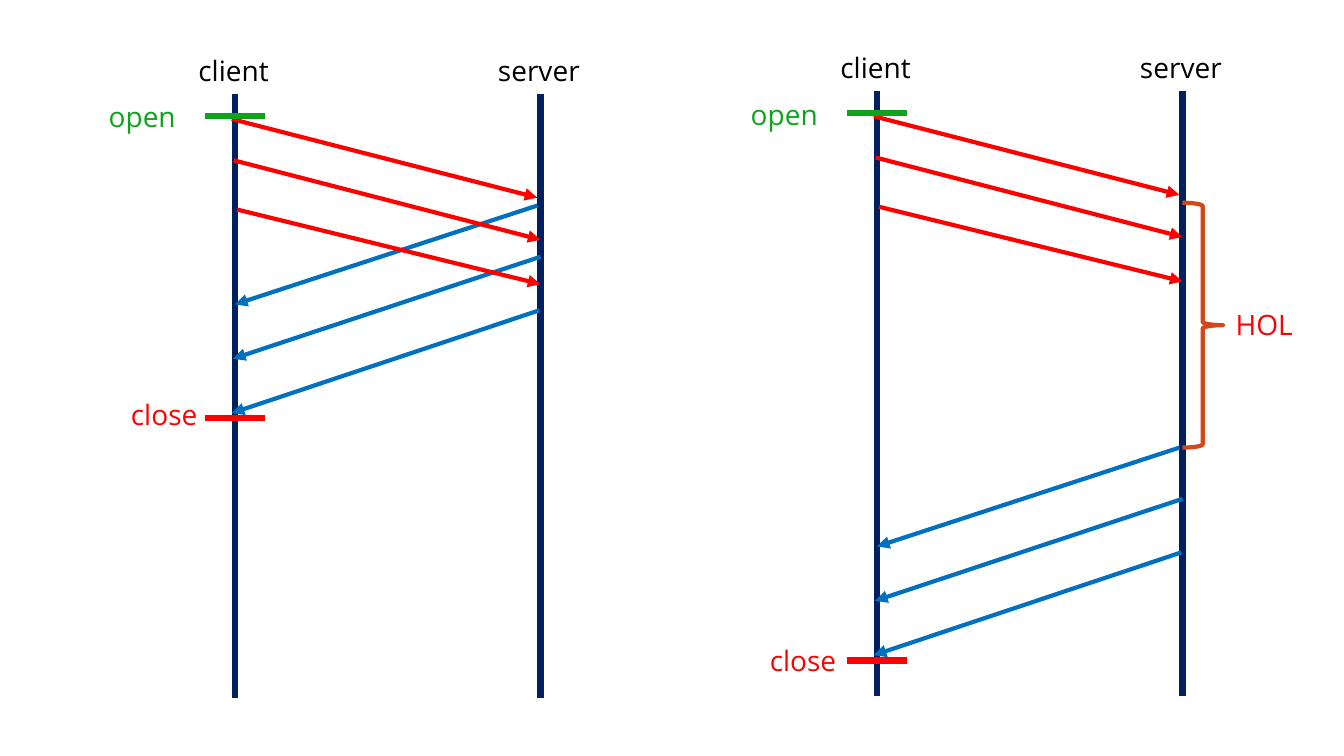
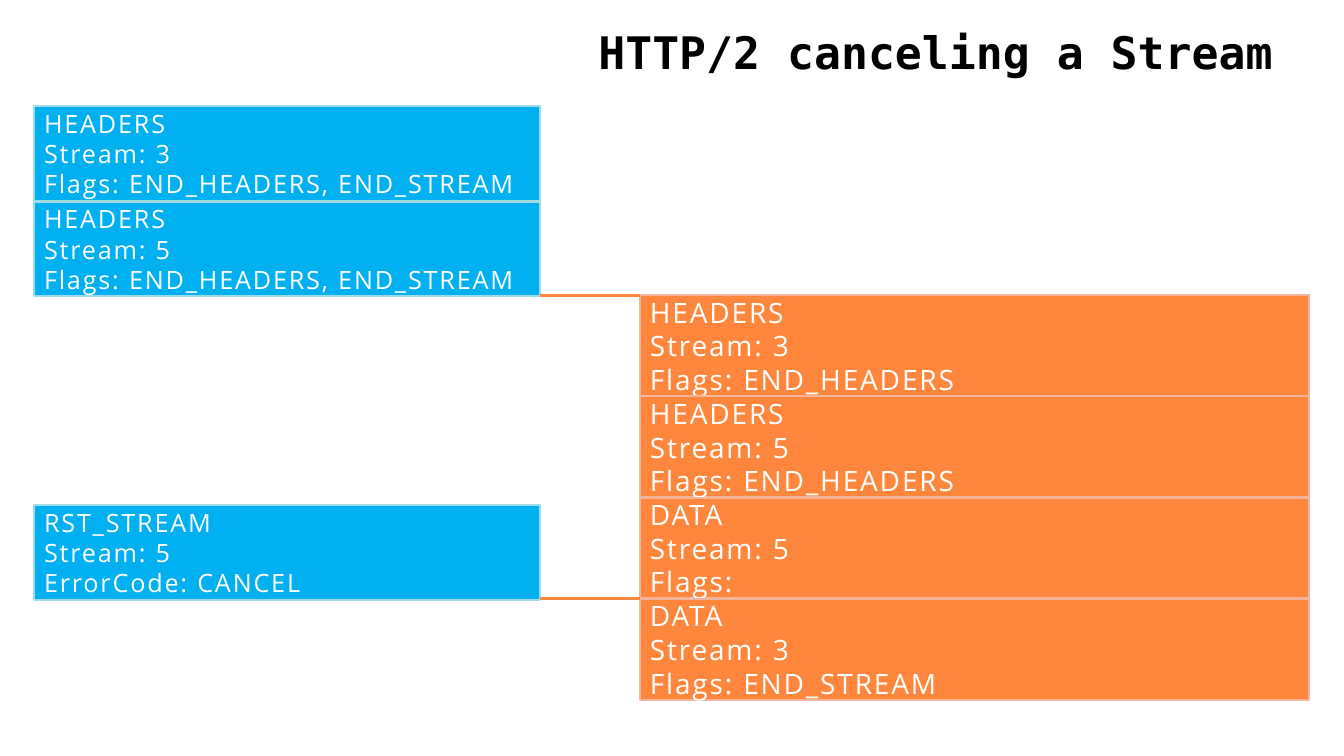
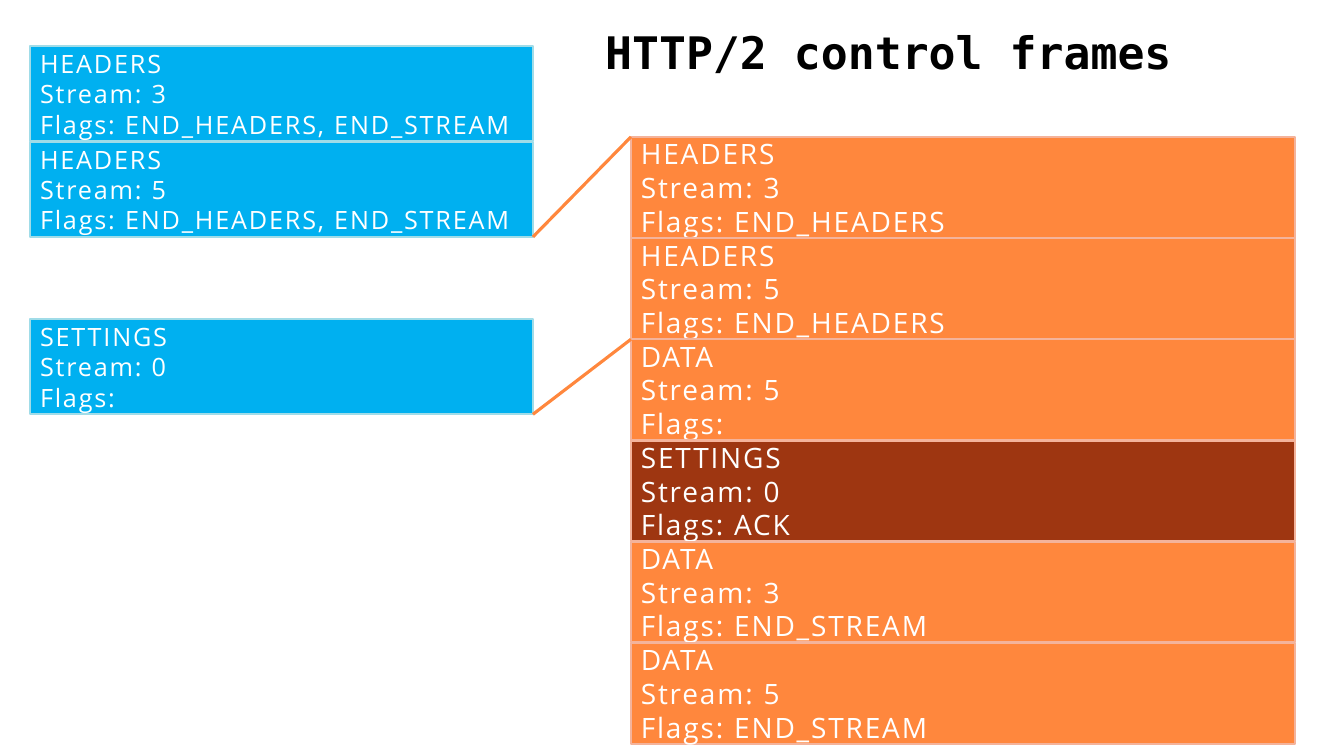
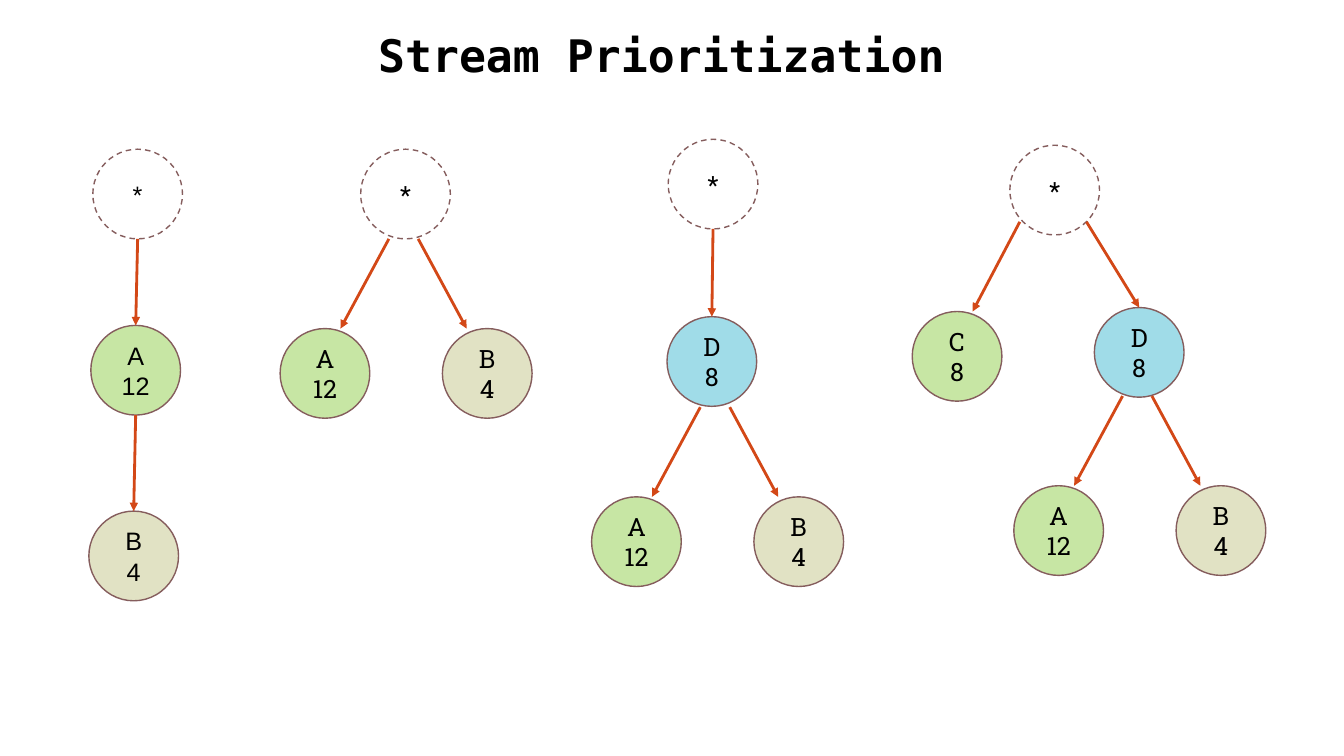
"""Build four slides on HTTP/2 streams: blocking, cancelling, control frames and priorities."""
import dataclasses

import pptx
import pptx.dml.color
import pptx.enum.dml
import pptx.enum.shapes
import pptx.enum.text
import pptx.oxml
import pptx.oxml.ns
import pptx.util

Cm = pptx.util.Cm
Pt = pptx.util.Pt
SHAPE = pptx.enum.shapes.MSO_SHAPE
ALIGN = pptx.enum.text.PP_ALIGN


@dataclasses.dataclass(frozen=True)
class Theme:
    black: str = "000000"
    white: str = "FFFFFF"
    red: str = "FF0000"
    green: str = "0DA31B"
    navy: str = "002060"
    blue: str = "0070C0"
    rust: str = "D34817"
    request: str = "00B0F0"
    request_edge: str = "A0DCE8"
    reply: str = "FF873D"
    reply_edge: str = "F4B39B"
    accent: str = "9E3611"
    node_edge: str = "855D5D"
    node_green: str = "C7E6A4"
    node_sand: str = "E1E2C4"
    node_blue: str = "A0DCE8"
    title_font: str = "DejaVu Sans Mono"
    body_font: str = "Open Sans"
    node_font: str = "Roboto Slab"
    plain_font: str = "Arial"
    title_size: int = 32
    label_size: int = 20
    small_size: int = 18
    tracking: int = 130


class Slides:
    request_height = 2.39
    request_pitch = 2.41
    reply_height = 2.54
    reply_pitch = 2.55
    node_size = 2.26

    def __init__(self, theme):
        self.theme = theme
        self.deck = pptx.Presentation()
        self.deck.slide_width = Cm(33.87)
        self.deck.slide_height = Cm(19.05)
        self.page = None

    def new_page(self):
        self.page = self.deck.slides.add_slide(self.deck.slide_layouts[6])

    def color(self, value):
        return pptx.dml.color.RGBColor.from_string(value)

    def set_text(self, shape, text, font, size, color, align=ALIGN.LEFT, bold=False, tracking=None):
        shape.text_frame.text = text
        for para in shape.text_frame.paragraphs:
            para.alignment = align
            for span in para.runs:
                span.font.name = font
                span.font.size = Pt(size)
                span.font.bold = bold
                span.font.color.rgb = self.color(color)
                if tracking:
                    span.font._element.set("spc", str(tracking))

    def text_box(self, left, top, width, height, wrap):
        box = self.page.shapes.add_textbox(Cm(left), Cm(top), Cm(width), Cm(height))
        box.text_frame.word_wrap = wrap
        box.text_frame.auto_size = pptx.enum.text.MSO_AUTO_SIZE.SHAPE_TO_FIT_TEXT
        return box

    def title(self, text, left, top=0.51):
        box = self.text_box(left, top, 19.23, 1.63, True)
        self.set_text(box, text, self.theme.title_font, self.theme.title_size,
                      self.theme.black, ALIGN.CENTER, bold=True)

    def label(self, text, left, top, width, color):
        box = self.text_box(left, top, width, 1.12, False)
        self.set_text(box, text, self.theme.body_font, self.theme.label_size, color)

    def line(self, start, end, color, weight, arrow=False):
        line = self.page.shapes.add_connector(
            pptx.enum.shapes.MSO_CONNECTOR.STRAIGHT, *map(Cm, (*start, *end)))
        line.line.color.rgb = self.color(color)
        line.line.width = Pt(weight)
        properties = line._element.spPr
        if arrow:
            head = pptx.oxml.parse_xml(
                f'<a:tailEnd {pptx.oxml.ns.nsdecls("a")} type="triangle"/>')
            properties.get_or_add_ln().append(head)
        properties.append(pptx.oxml.parse_xml(f'<a:effectLst {pptx.oxml.ns.nsdecls("a")}/>'))
        return line

    def shape(self, kind, left, top, width, height, fill, edge, weight):
        shape = self.page.shapes.add_shape(kind, Cm(left), Cm(top), Cm(width), Cm(height))
        shape.shadow.inherit = False
        if fill:
            shape.fill.solid()
            shape.fill.fore_color.rgb = self.color(fill)
        else:
            shape.fill.background()
        shape.line.color.rgb = self.color(edge)
        shape.line.width = Pt(weight)
        shape.text_frame.vertical_anchor = pptx.enum.text.MSO_ANCHOR.MIDDLE
        return shape

    def exchange(self, client, top, delay, close_label):
        theme = self.theme
        server = client + 7.7
        for x in (client, server):
            self.line((x, top), (x, top + 15.24), theme.navy, 4.5)
        requests = ((-0.08, 0.64, 7.62, 2.62), (-0.03, 1.68, 7.7, 3.68), (0.05, 2.92, 7.7, 4.8))
        responses = ((7.62, 2.82, 0, 5.31), (7.7, 4.11, -0.05, 6.68), (7.67, 5.46, -0.08, 8.05))
        for messages, color, wait in ((responses, theme.blue, delay), (requests, theme.red, 0)):
            for x1, y1, x2, y2 in messages:
                self.line((client + x1, top + y1 + wait), (client + x2, top + y2 + wait),
                          color, 3, arrow=True)
        for y, color in ((top + 0.56, theme.green), (top + 8.18 + delay, theme.red)):
            self.line((client - 0.76, y), (client + 0.76, y), color, 4.5)
        self.label("client", client - 1.17, top - 1.14, 2.41, theme.black)
        self.label("server", client + 6.38, top - 1.14, 2.67, theme.black)
        self.label("open", client - 3.43, top + 0.03, 2.26, theme.green)
        self.label("close", *close_label, 2.26, theme.red)
        if delay:
            brace_top = top + 2.82
            self.shape(SHAPE.RIGHT_BRACE, server, brace_top, 1.02, delay, None, theme.rust, 3)
            self.label("HOL", server + 1.09, brace_top + delay / 2 - 0.56, 2.01, theme.red)

    def frame(self, text, left, top, width, height, fill, edge, size):
        frame = self.shape(SHAPE.RECTANGLE, left, top, width, height, fill, edge, 1.5)
        self.set_text(frame, text, self.theme.body_font, size, self.theme.white,
                      tracking=self.theme.tracking)

    def requests(self, left, top, width, frames):
        for index, text in enumerate(frames):
            self.frame(text, left, top + index * self.request_pitch, width, self.request_height,
                       self.theme.request, self.theme.request_edge, self.theme.small_size)

    def replies(self, left, top, width, frames):
        for index, text in enumerate(frames):
            fill = self.theme.accent if text.startswith("SETTINGS") else self.theme.reply
            self.frame(text, left, top + index * self.reply_pitch, width, self.reply_height,
                       fill, self.theme.reply_edge, self.theme.label_size)

    def link(self, start, end):
        self.line(start, end, self.theme.reply, 2.25)

    def node(self, text, left, top, fill, font=None):
        node = self.shape(SHAPE.OVAL, left, top, self.node_size, self.node_size,
                          fill, self.theme.node_edge, 1)
        self.set_text(node, text, font or self.theme.node_font, self.theme.small_size,
                      self.theme.black, ALIGN.CENTER)
        return node

    def root(self, left, top, font=None):
        root = self.node("*", left, top, self.theme.white, font)
        root.line.dash_style = pptx.enum.dml.MSO_LINE.DASH
        return root

    def arrow(self, start, end):
        return self.line(start, end, self.theme.rust, 2, arrow=True)

    def drop(self, parent, child):
        start = (parent.left + parent.width // 2, parent.top + parent.height)
        arrow = self.arrow([length / Cm(1) for length in start], (0, 0))
        arrow.end_connect(child, 0)

    def fork(self, left, top):
        self.node("A\n12", left, top, self.theme.node_green)
        self.node("B\n4", left + 4.09, top, self.theme.node_sand)
        for start, end in ((2.74, 1.52), (3.48, 4.7)):
            self.arrow((left + start, top - self.node_size), (left + end, top))


def frame_text(kind, stream, detail):
    return f"{kind}\nStream: {stream}\n{detail}"


def main():
    theme = Theme()
    slides = Slides(theme)
    opening = [frame_text("HEADERS", stream, "Flags: END_HEADERS, END_STREAM") for stream in (3, 5)]
    answers = [frame_text("HEADERS", stream, "Flags: END_HEADERS") for stream in (3, 5)]
    answers.append(frame_text("DATA", 5, "Flags:"))
    endings = [frame_text("DATA", stream, "Flags: END_STREAM") for stream in (3, 5)]

    slides.new_page()
    slides.exchange(5.92, 2.36, 0, (3.05, 9.88))
    slides.exchange(22.1, 2.29, 6.17, (19.15, 16.1))

    slides.new_page()
    slides.title("HTTP/2 canceling a Stream", 13.97)
    slides.requests(0.86, 2.67, 12.75, opening)
    slides.replies(16.13, 7.44, 16.87, answers + endings[:1])
    slides.requests(0.86, 12.73, 12.75, [frame_text("RST_STREAM", 5, "ErrorCode: CANCEL")])
    for y in (7.44, 15.09):
        slides.link((13.61, y), (16.13, y))

    slides.new_page()
    slides.title("HTTP/2 control frames", 12.78)
    slides.requests(0.76, 1.17, 12.67, opening)
    slides.requests(0.76, 8.05, 12.67, [frame_text("SETTINGS", 0, "Flags:")])
    slides.replies(15.9, 3.45, 16.74,
                   answers + [frame_text("SETTINGS", 0, "Flags: ACK")] + endings)
    for start, end in ((5.97, 3.45), (10.44, 8.55)):
        slides.link((13.43, start), (15.9, end))

    slides.new_page()
    slides.title("Stream Prioritization", 7.06, 0.58)
    chain = [slides.root(2.34, 3.76, theme.plain_font),
             slides.node("A\n12", 2.29, 8.2, theme.node_green, theme.plain_font),
             slides.node("B\n4", 2.24, 12.88, theme.node_sand, theme.plain_font)]
    for parent, child in zip(chain, chain[1:]):
        slides.drop(parent, child)
    slides.root(9.09, 3.76)
    slides.fork(7.06, 8.28)
    root = slides.root(16.84, 3.51)
    slides.drop(root, slides.node("D\n8", 16.81, 7.98, theme.node_blue))
    slides.fork(14.91, 12.52)
    slides.root(25.45, 3.66)
    slides.node("С\n8", 22.99, 7.85, theme.node_green)
    right = slides.node("D\n8", 27.58, 7.75, theme.node_blue)
    slides.arrow((25.7, 5.59), (24.51, 7.85))
    slides.arrow((27.38, 5.59), (28.73, 7.75)).end_connect(right, 0)
    slides.fork(25.55, 12.24)

    slides.deck.save("out.pptx")


if __name__ == "__main__":
    main()
